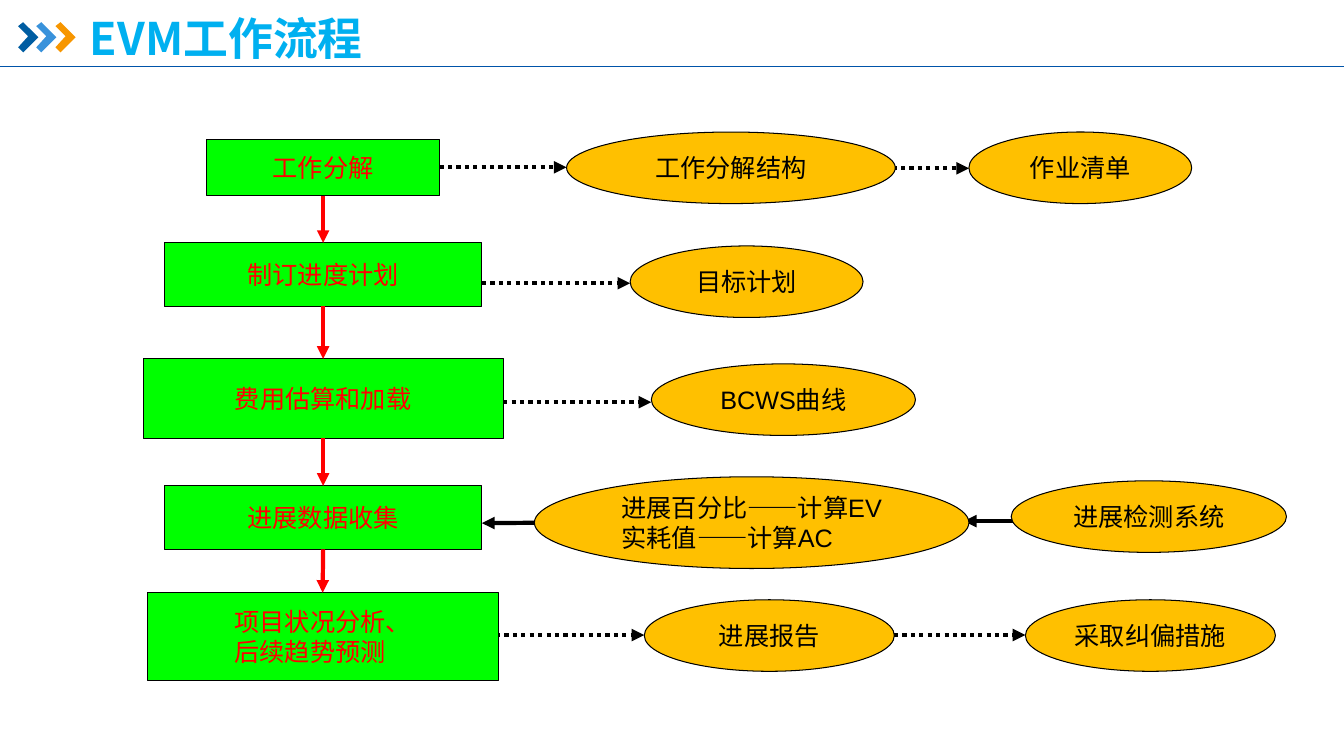
from dataclasses import dataclass

from lxml import etree
from pptx import Presentation
from pptx import util as u
from pptx.dml.color import RGBColor
from pptx.enum import dml, shapes, text
from pptx.oxml.ns import qn

SCALE = 9144  # EMU in one px, 100 px to the inch
DASH = "——"


def px(n):
    return u.Emu(n * SCALE)


@dataclass(frozen=True)
class Theme:
    title: str = "00B0F0"
    rule: str = "0054A9"
    marks: tuple = ("005DA2", "3992DB", "F79600")
    step: str = "00FF00"
    result: str = "FFC000"
    red: str = "FF0000"
    black: str = "000000"
    latin: str = "Arial"
    han: str = "Noto Sans CJK SC"
    dash: str = "Noto Sans CJK KR"
    big: int = 32
    body: int = 18
    thin: float = 0.75
    thick: float = 3


def write(frame, words, size, color, latin, han, dash=None, bold=False, block=False):
    """Fill a text frame, one paragraph a line; block centres the lines as a whole."""
    frame.word_wrap = not block
    frame.auto_size = text.MSO_AUTO_SIZE.NONE
    frame.vertical_anchor = text.MSO_ANCHOR.MIDDLE
    if block:
        frame._txBody.bodyPr.set("anchorCtr", "1")
    for i, line in enumerate(words.split("\n")):
        para = frame.add_paragraph() if i else frame.paragraphs[0]
        para.alignment = text.PP_ALIGN.LEFT
        for part in filter(None, line.partition(DASH)):
            run = para.add_run()
            run.text = part
            font = run.font
            font.size, font.bold = u.Pt(size), bold
            font.color.rgb = RGBColor.from_string(color)
            own = dash if part == DASH else None
            font.name = own or latin
            east = etree.SubElement(font._element, qn("a:ea"))
            east.set("typeface", own or han)


class Board:
    def __init__(self, slide, theme):
        self.slide, self.theme = slide, theme
        self.items = slide.shapes

    def paint(self, item, fill, line=None):
        item.shadow.inherit = False
        item.fill.solid()
        item.fill.fore_color.rgb = RGBColor.from_string(fill)
        if line:
            item.line.color.rgb = RGBColor.from_string(line)
            item.line.width = u.Pt(self.theme.thin)
        else:
            item.line.fill.background()

    def title(self, words, left, top, width, height):
        t, box = self.theme, self.items.title
        box.left, box.top, box.width, box.height = map(px, (left, top, width, height))
        write(box.text_frame, words, t.big, t.title, t.han, t.han, bold=True)

    def mark(self, left, top, color):
        pts = [(left + x, top + y)
               for x, y in ((0, 4), (5, 0), (20, 15), (5, 30), (0, 25), (10, 14))]
        pen = self.items.build_freeform(*pts[0], scale=SCALE)
        pen.add_line_segments(pts[1:], close=True)
        self.paint(pen.convert_to_shape(), color)

    def node(self, kind, words, area, fill, color):
        t = self.theme
        item = self.items.add_shape(kind, *map(px, area))
        self.paint(item, fill, t.black)
        write(item.text_frame, words, t.body, color, t.latin, t.han, t.dash, block=True)
        return item

    def line(self, ends, color, width):
        item = self.items.add_connector(shapes.MSO_CONNECTOR.STRAIGHT, *map(px, ends))
        item.line.color.rgb = RGBColor.from_string(color)
        item.line.width = u.Pt(width)
        etree.SubElement(item._element.spPr, qn("a:effectLst"))
        return item

    def arrow(self, ends, color, dotted=False):
        item = self.line(ends, color, self.theme.thick)
        if dotted:
            item.line.dash_style = dml.MSO_LINE.ROUND_DOT
        tip = etree.SubElement(item.line._get_or_add_ln(), qn("a:tailEnd"))
        tip.set("type", "triangle")
        return item


# Steps, top to bottom: words, left, top, width, height
STEPS = [
    ("工作分解", 205, 138, 231, 56),
    ("制订进度计划", 163, 241, 315, 63),
    ("费用估算和加载", 142, 356, 357, 79),
    ("进展数据收集", 163, 482, 315, 63),
    ("项目状况分析、\n后续趋势预测", 146, 588, 348, 87),
]
RESULTS = [
    ("工作分解结构", 562, 131, 326, 71),
    ("作业清单", 961, 131, 221, 71),
    ("目标计划", 625, 244, 231, 71),
    ("BCWS曲线", 646, 361, 262, 71),
    ("进展百分比——计算EV\n实耗值——计算AC", 530, 473, 431, 91),
    ("进展检测系统", 1003, 477, 273, 71),
    ("进展报告", 639, 595, 248, 71),
    ("采取纠偏措施", 1017, 595, 248, 71),
]
# Arrows to and from results: x1, y1, x2, y2
DOTTED = [
    (877, 167, 961, 167),
    (478, 281, 625, 281),
    (499, 399, 646, 399),
    (492, 630, 639, 630),
    (870, 630, 1017, 630),
]
SOLID = [(1103, 517, 956, 517), (625, 518, 478, 519)]


def main():
    deck = Presentation()
    deck.slide_width, deck.slide_height = px(1333), px(750)
    theme = Theme()
    board = Board(deck.slides.add_slide(deck.slide_layouts[5]), theme)

    # Header
    for left, color in zip((18, 36, 55), theme.marks):
        board.mark(left, 22, color)
    board.line((0, 66, 1333, 66), theme.rule, theme.thin)
    board.title("EVM工作流程", 79, 14, 431, 47)

    # Arrows that run behind the ellipses
    for ends in DOTTED:
        board.arrow(ends, theme.black, dotted=True)
    for ends in SOLID:
        board.arrow(ends, theme.black)

    # Steps and results
    steps = [board.node(shapes.MSO_SHAPE.RECTANGLE, words, area, theme.step, theme.red)
             for words, *area in STEPS]
    for words, *area in RESULTS:
        board.node(shapes.MSO_SHAPE.OVAL, words, area, theme.result, theme.black)

    # Arrows joined to the steps
    for above, below in zip(steps, steps[1:]):
        link = board.arrow((0, 0, 0, 0), theme.red)
        link.begin_connect(above, 2)
        link.end_connect(below, 0)
    first = board.arrow((436, 166, 562, 166), theme.black, dotted=True)
    first.begin_connect(steps[0], 3)

    deck.save("out.pptx")


if __name__ == "__main__":
    main()
